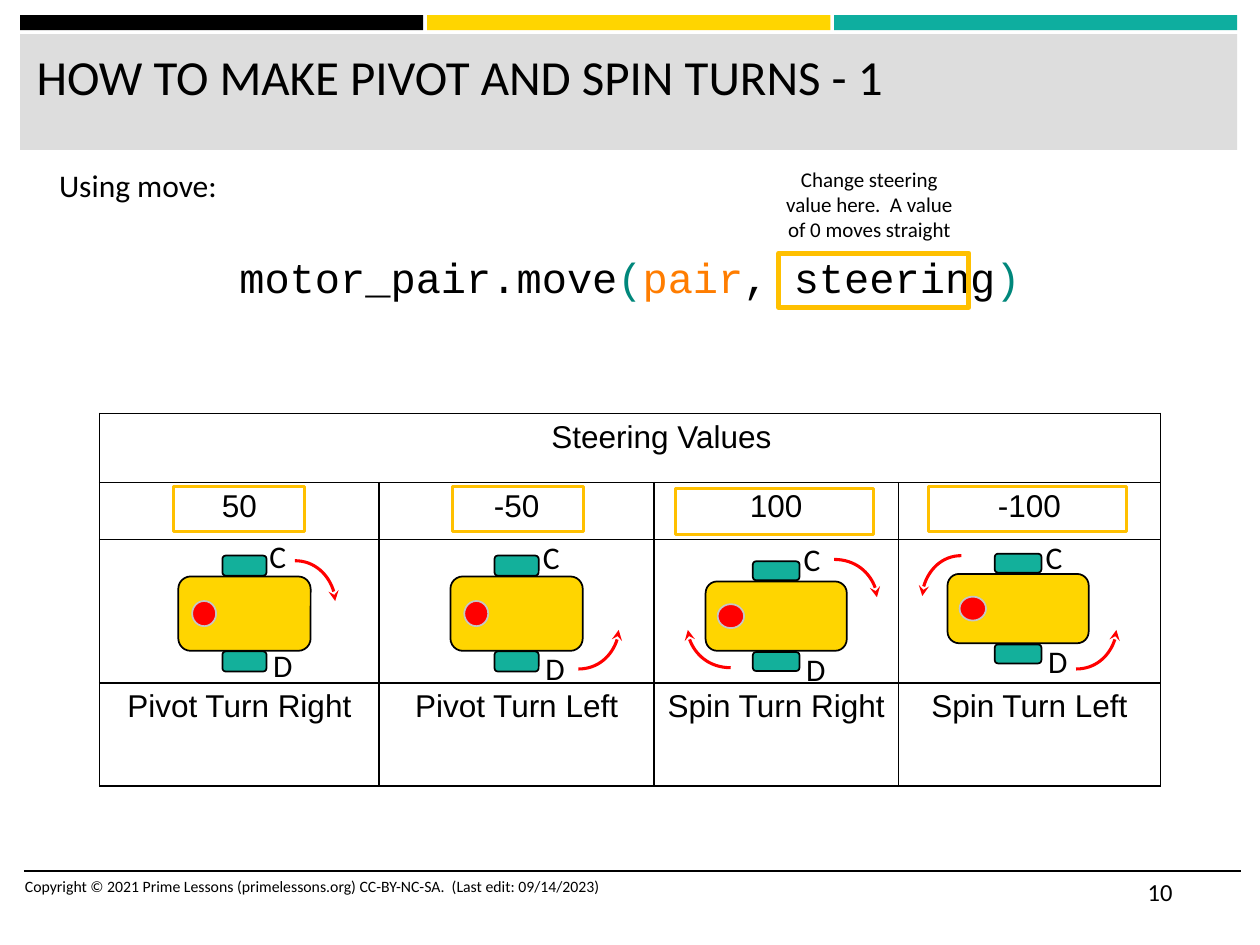
from dataclasses import dataclass

from pptx import Presentation
from pptx.dml.color import RGBColor
from pptx.enum.shapes import MSO_CONNECTOR, MSO_SHAPE
from pptx.enum.text import MSO_ANCHOR, MSO_AUTO_SIZE, PP_ALIGN
from pptx.oxml.ns import qn
from pptx.util import Inches, Pt
from lxml import etree

RECT, ROUND, OVAL = MSO_SHAPE.RECTANGLE, MSO_SHAPE.ROUNDED_RECTANGLE, MSO_SHAPE.OVAL
STRAIGHT, CURVE = MSO_CONNECTOR.STRAIGHT, MSO_CONNECTOR.CURVE
LEFT, CENTER = PP_ALIGN.LEFT, PP_ALIGN.CENTER
TOP, NO_FIT = MSO_ANCHOR.TOP, MSO_AUTO_SIZE.NONE


@dataclass(frozen=True)
class Theme:
    """Colours, fonts and type sizes of the lesson."""
    black: str = "000000"
    yellow: str = "FFD500"
    teal: str = "0EAE9F"
    wheel: str = "13B09B"
    band: str = "DDDDDD"
    red: str = "FF0000"
    grey: str = "C6C6C6"
    amber: str = "FFC000"
    bracket: str = "00877B"
    argument: str = "FF7D00"
    body: str = "Calibri"
    table: str = "Arial"
    code: str = "Courier New"
    title_size: int = 28
    code_size: int = 24
    text_size: int = 18
    page_size: int = 14
    note_size: int = 12
    footer_size: int = 9


class Lesson:
    """Draws the elements of a lesson slide in one style."""

    def __init__(self, prs, theme):
        self.t = theme
        self.s = prs.slides.add_slide(prs.slide_layouts[5])

    def style_run(self, r, size, font=None, color=None):
        r.font.size = Pt(size)
        r.font.name = font or self.t.body
        r.font.color.rgb = RGBColor.from_string(color or self.t.black)

    def title(self, text, x, y, w, h):
        sp = self.s.shapes.title
        sp.left, sp.top, sp.width, sp.height = map(Inches, (x, y, w, h))
        tf = sp.text_frame
        tf.text = text
        tf.auto_size, tf.vertical_anchor = NO_FIT, TOP
        tf.paragraphs[0].alignment = LEFT
        self.style_run(tf.paragraphs[0].runs[0], self.t.title_size)
        sp.element.getparent().append(sp.element)

    def text(self, parts, x, y, w, h, size, font=None, align=LEFT, parent=None):
        shapes = (parent or self.s).shapes
        tf = shapes.add_textbox(*map(Inches, (x, y, w, h))).text_frame
        tf.word_wrap = True
        p = tf.paragraphs[0]
        p.alignment = align
        for text, color in parts:
            r = p.add_run()
            r.text = text
            self.style_run(r, size, font, color)

    def label(self, text, *box, **style):
        self.text([(text, self.t.black)], *box, **style)

    def shape(self, kind, x, y, w, h, fill=None, line=None, weight=1, parent=None):
        sp = (parent or self.s).shapes.add_shape(kind, *map(Inches, (x, y, w, h)))
        sp.shadow.inherit = False
        if fill:
            sp.fill.solid()
            sp.fill.fore_color.rgb = RGBColor.from_string(fill)
        else:
            sp.fill.background()
        if line:
            sp.line.color.rgb = RGBColor.from_string(line)
            sp.line.width = Pt(weight)
        else:
            sp.line.fill.background()
        return sp

    def upright(self, kind, cx, cy, w, h, fill, line, parent):
        box = (cx - w / 2, cy - h / 2, w, h)
        self.shape(kind, *box, fill, line, parent=parent).rotation = 90

    def connector(self, kind, start, end, color, weight, parent=None):
        shapes = (parent or self.s).shapes
        cn = shapes.add_connector(kind, *map(Inches, (*start, *end)))
        cn.line.color.rgb = RGBColor.from_string(color)
        cn.line.width = Pt(weight)
        etree.SubElement(cn.element.spPr, qn("a:effectLst"))
        return cn

    def turn_arrow(self, start, end, parent):
        cn = self.connector(CURVE, start, end, self.t.red, 1.75, parent)
        cn.element.spPr.find(qn("a:prstGeom")).set("prst", "curvedConnector2")
        ln = cn.element.spPr.find(qn("a:ln"))
        etree.SubElement(ln, qn("a:tailEnd"), type="stealth")

    def robot(self, cx, cy, size, c_at, d_at, arrows):
        t, (body, wheel, dot, axle, dot_dx) = self.t, size
        g = self.s.shapes.add_group_shape()
        self.upright(ROUND, cx, cy, *body, t.yellow, t.black, g)
        for dy in (axle, -axle):
            self.upright(ROUND, cx, cy + dy, *wheel, t.wheel, t.black, g)
        self.upright(OVAL, cx - dot_dx, cy, *dot, t.red, t.grey, g)
        for name, at in (("C", c_at), ("D", d_at)):
            self.label(name, *at, 0.43, 0.4, t.text_size, parent=g)
        for start, end in arrows:
            self.turn_arrow(start, end, g)

    def cell(self, cell, text):
        cell.fill.background()
        p = cell.text_frame.paragraphs[0]
        p.text, p.alignment = text, CENTER
        p.font.size = Pt(self.t.text_size)
        for r in p.runs:
            self.style_run(r, self.t.text_size, self.t.table)
        tcPr = cell._tc.get_or_add_tcPr()
        for i, side in enumerate(("lnL", "lnR", "lnT", "lnB")):
            ln = etree.Element(qn(f"a:{side}"), w=str(Pt(1)))
            fill = etree.SubElement(ln, qn("a:solidFill"))
            etree.SubElement(fill, qn("a:srgbClr"), val=self.t.black)
            tcPr.insert(i, ln)

    def table(self, rows, x, y, widths, heights):
        box = map(Inches, (x, y, sum(widths), sum(heights)))
        tbl = self.s.shapes.add_table(len(rows), len(widths), *box).table
        tbl.first_row = tbl.horz_banding = False
        for col, w in zip(tbl.columns, widths):
            col.width = Inches(w)
        for i, (row, h) in enumerate(zip(rows, heights)):
            tbl.rows[i].height = Inches(h)
            for j, text in enumerate(row):
                self.cell(tbl.cell(i, j), text)
        tbl.cell(0, 0).merge(tbl.cell(0, len(widths) - 1))
        p = tbl.cell(0, 0).text_frame.paragraphs[0]
        p.level = 1
        pPr = p._p.get_or_add_pPr()
        pPr.set("marL", str(Inches(0.5)))
        pPr.set("indent", "0")


def main():
    """Build the pivot and spin turn slide."""
    prs = Presentation()
    prs.slide_width, prs.slide_height = Inches(10), Inches(7.5)
    t = Theme()
    d = Lesson(prs, t)

    for i, color in enumerate((t.black, t.yellow, t.teal)):
        d.shape(RECT, 0.16 + 3.23 * i, 0.12, 3.2, 0.12, color)
    d.shape(RECT, 0.16, 0.27, 9.66, 0.92, t.band)
    d.connector(STRAIGHT, (0.19, 6.91), (9.85, 6.91), t.black, 1)
    d.title("HOW TO MAKE PIVOT AND SPIN TURNS - 1", 0.19, 0.32, 9.57, 0.82)

    d.table([
        ["Steering Values", "", "", ""],
        ["50", "-50", "100", "-100"],
        ["", "", "", ""],
        ["Pivot Turn Right", "Pivot Turn Left", "Spin Turn Right", "Spin Turn Left"],
    ], 0.79, 3.28, (2.22, 2.18, 1.94, 2.08), (0.55, 0.45, 1.14, 0.82))

    d.label("Copyright © 2021 Prime Lessons (primelessons.org) CC-BY-NC-SA.  "
            "(Last edit: 09/14/2023)", 0.1, 6.91, 5.33, 0.4, t.footer_size)
    d.label("10", 9.01, 6.91, 0.84, 0.4, t.page_size)
    d.label("Change steering value here.  A value of 0 moves straight",
            6.08, 1.27, 1.64, 0.71, t.note_size, align=CENTER)

    pivot = ((0.59, 1.05), (0.16, 0.35), (0.2, 0.19), 0.38, 0.32)
    spin = ((0.55, 1.12), (0.15, 0.37), (0.19, 0.21), 0.36, 0.36)
    d.robot(1.94, 4.87, pivot, (2.04, 4.21), (2.07, 5.08),
            [((2.34, 4.45), (2.66, 4.77))])
    d.robot(4.1, 4.87, pivot, (4.21, 4.22), (4.23, 5.1),
            [((4.59, 5.31), (4.91, 5))])
    d.robot(6.16, 4.89, spin, (6.28, 4.24), (6.3, 5.11),
            [((6.62, 4.44), (6.96, 4.74)), ((5.8, 5.3), (5.46, 5))])
    d.robot(8.08, 4.83, spin, (8.2, 4.22), (8.22, 5.05),
            [((8.54, 5.31), (8.86, 5)), ((7.63, 4.41), (7.32, 4.73))])

    for x, y, w in ((1.38, 3.86, 1.04), (3.59, 3.86, 1.04),
                    (5.36, 3.88, 1.57), (7.37, 3.86, 1.57)):
        d.shape(RECT, x, y, w, 0.36, line=t.amber, weight=1.75)

    d.text([("motor_pair.move", t.black), ("(", t.bracket), ("pair", t.argument),
            (", steering", t.black), (")", t.bracket)],
           0.63, 1.95, 8.74, 0.5, t.code_size, t.code, CENTER)
    d.shape(RECT, 6.18, 2.01, 1.51, 0.43, line=t.amber, weight=3)
    d.label("Using move:", 0.37, 1.27, 4.28, 0.4, t.text_size)
    prs.save("out.pptx")


if __name__ == "__main__":
    main()
